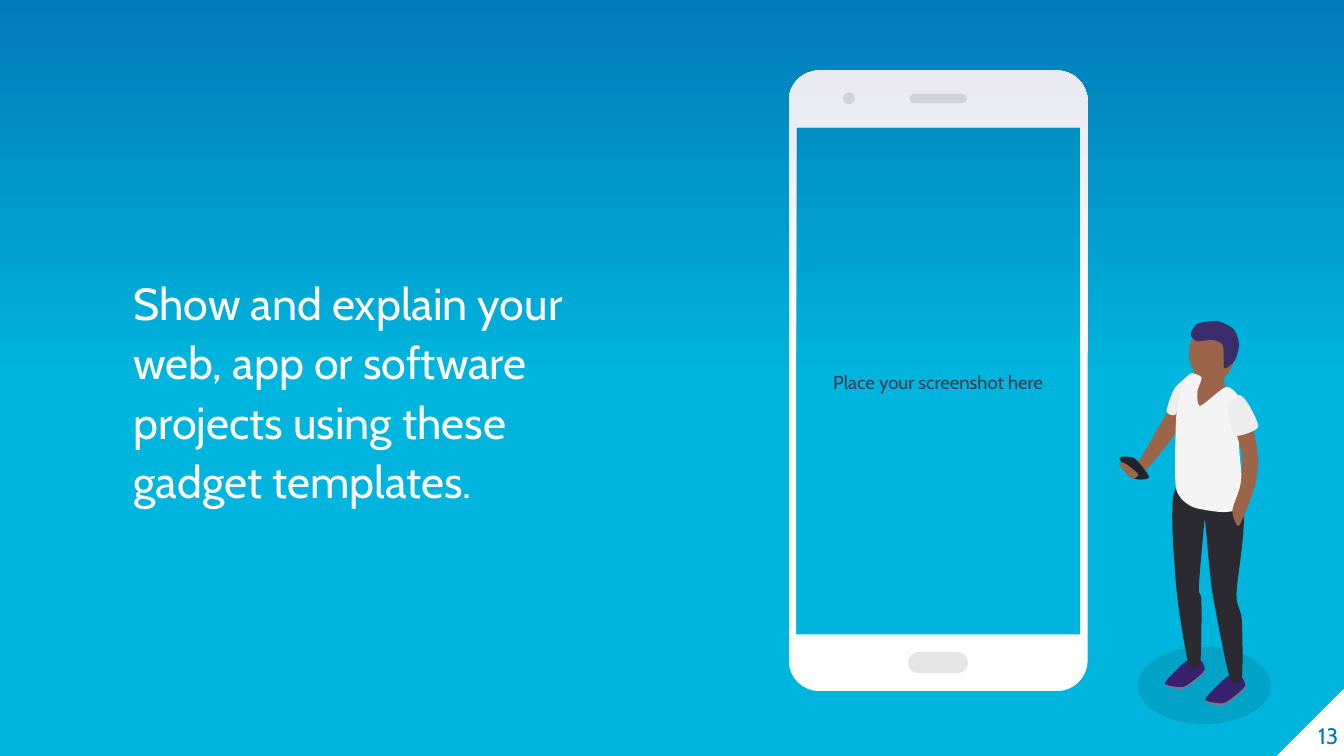
import math
from lxml import etree
from pptx import Presentation
from pptx.dml.color import RGBColor
from pptx.enum.shapes import MSO_SHAPE
from pptx.enum.text import MSO_ANCHOR, MSO_AUTO_SIZE, PP_ALIGN
from pptx.oxml.ns import qn
from pptx.util import Pt

OVAL, ROUNDED, TRIANGLE = MSO_SHAPE.OVAL, MSO_SHAPE.ROUNDED_RECTANGLE, MSO_SHAPE.RIGHT_TRIANGLE
MIDDLE, BOTTOM, TOP = MSO_ANCHOR.MIDDLE, MSO_ANCHOR.BOTTOM, MSO_ANCHOR.TOP
LEFT, CENTER, RIGHT = PP_ALIGN.LEFT, PP_ALIGN.CENTER, PP_ALIGN.RIGHT
NO_FIT = MSO_AUTO_SIZE.NONE

WHITE = RGBColor(0xFF, 0xFF, 0xFF)
BLACK = RGBColor(0x00, 0x00, 0x00)
CYAN = RGBColor(0x00, 0xB5, 0xDD)
BLUE = RGBColor(0x00, 0x7B, 0xB9)
LAVENDER = RGBColor(0xE9, 0xEA, 0xF2)
SLATE = RGBColor(0x3A, 0x3F, 0x50)
SHOE = RGBColor(0x38, 0x22, 0x6D)
SOLE = RGBColor(0x75, 0x7B, 0x89)
TROUSERS = RGBColor(0x2B, 0x2A, 0x30)
SKIN = RGBColor(0x9C, 0x64, 0x48)
HANDSET = RGBColor(0x20, 0x23, 0x2D)
SHIRT = RGBColor(0xF4, 0xF4, 0xF4)
SLEEVE = RGBColor(0xED, 0xED, 0xED)
HAIR = RGBColor(0x3A, 0x2C, 0x6D)

UNIT = 0.72     # points in one unit of the figure outlines
STEPS = 8       # straight pieces per curve
TENSION = 0.35  # roundness of the figure outlines


def paint(shape, color, opacity=100):
    shape.shadow.inherit = False
    shape.line.fill.background()
    shape.fill.solid()
    shape.fill.fore_color.rgb = color
    if opacity < 100:
        color_element = shape.fill._xPr.find(qn("a:solidFill"))[0]
        etree.SubElement(color_element, qn("a:alpha"), val=str(opacity * 1000))


def write(shape, text, size, color, alignment, anchor, margin=0):
    frame = shape.text_frame
    frame.word_wrap = True
    frame.auto_size = NO_FIT
    frame.vertical_anchor = anchor
    frame.margin_left = frame.margin_right = Pt(margin)
    frame.margin_top = frame.margin_bottom = Pt(margin)
    paragraph = frame.paragraphs[0]
    paragraph.alignment = alignment
    run = paragraph.add_run()
    run.text = text
    run.font.size, run.font.name = Pt(size), "Cabin"
    run.font.color.rgb = color
    return paragraph


presentation = Presentation()
presentation.slide_width, presentation.slide_height = Pt(720), Pt(405)
slide = presentation.slides.add_slide(presentation.slide_layouts[1])
shapes = slide.shapes
title = shapes.title._element
title.getparent().remove(title)

# Page corner
corner = shapes.add_shape(TRIANGLE, Pt(684), Pt(368.5), Pt(36.5), Pt(36.5))
corner._element.spPr.xfrm.set("flipH", "1")
paint(corner, WHITE)

# Message
body = slide.placeholders[1]
body.left, body.top, body.width, body.height = Pt(71.5), Pt(103), Pt(236), Pt(164)
message = write(body, "Show and explain your web, app or software projects using these gadget templates.",
                24, WHITE, LEFT, TOP)
body.text_frame.margin_top = Pt(42)
message.line_spacing, message.space_before = 1.1, Pt(0)
properties = message._p.get_or_add_pPr()
properties.set("marL", "0")
properties.set("indent", "0")
etree.SubElement(properties, qn("a:buNone"))

# Screen caption and page number
caption = shapes.add_textbox(Pt(427), Pt(69), Pt(151), Pt(271))
write(caption, "Place your screenshot here", 10, SLATE, CENTER, MIDDLE, 7.2)
number = shapes.add_textbox(Pt(681), Pt(365), Pt(36), Pt(36.5))
write(number, "13", 12, BLUE, RIGHT, BOTTOM)

# Phone case: rounded outline with the screen cut out
left, top, right, bottom, radius = 422.5, 37.8, 582.7, 370.3, 16.5
centers = [(right - radius, bottom - radius), (left + radius, bottom - radius),
           (left + radius, top + radius), (right - radius, top + radius)]
outline = []
for quarter, (x, y) in enumerate(centers):
    for step in range(STEPS + 1):
        angle = (quarter + step / STEPS) * math.pi / 2
        outline.append((Pt(x + radius * math.cos(angle)), Pt(y + radius * math.sin(angle))))
side, band = 4, 30.4
screen = [(Pt(x), Pt(y)) for x, y in [(left + side, top + band), (left + side, bottom - band),
                                      (right - side, bottom - band), (right - side, top + band)]]
builder = shapes.build_freeform(*outline[0])
builder.add_line_segments(outline[1:])
builder.move_to(*screen[0])
builder.add_line_segments(screen[1:])
case = builder.convert_to_shape()
paint(case, WHITE)

# Vertical gradients: plain lower half, fading to the top color
for fill, lower, upper in [(slide.background.fill, CYAN, BLUE), (case.fill, WHITE, LAVENDER)]:
    fill.gradient()
    fill.gradient_angle = 90
    for stop, position, color in zip(fill.gradient_stops, (0.5, 1), (lower, upper)):
        stop.position = position
        stop.color.rgb = color

# Home button, camera, speaker, shadow under the person, and the head
for kind, x, y, width, height, color, opacity in [
        (ROUNDED, 486.5, 349.3, 32, 11.4, BLACK, 10), (OVAL, 451.6, 49.5, 6.4, 6.4, BLACK, 10),
        (ROUNDED, 487.2, 50.3, 30.8, 4.9, BLACK, 10), (OVAL, 609.4, 346.5, 71.6, 41.4, BLACK, 10),
        (OVAL, 637, 174, 24.5, 30.5, SKIN, 100)]:
    detail = shapes.add_shape(kind, Pt(x), Pt(y), Pt(width), Pt(height))
    if kind == ROUNDED:
        detail.adjustments[0] = 0.5
    paint(detail, color, opacity)

# Person: shoes on their soles, then each part as points on a smooth outline
shoe = [(893, 491), (884, 491), (872, 502), (867, 509), (881, 511), (896, 499)]
person = []
for across, down in [(30, 12), (0, 0)]:
    for color, drop in [(SOLE, 1.5), (SHOE, 0)]:
        person.append((color, [(x + across, y + down + drop) for x, y in shoe]))
person += [
    (TROUSERS, [(924, 375), (920, 442), (924, 461), (924, 504), (915, 504), (902, 440), (897, 390),
                (896, 390), (892, 437), (894, 447), (893, 493), (884, 492), (875, 434), (875, 363)]),
    # Neck
    (SKIN, [(911, 265), (911, 286), (917, 292), (905, 304), (892, 302), (886, 290), (890, 275)]),
    # Raised arm, handset and fingers
    (SKIN, [(884, 284), (869, 306), (846, 345), (838, 341), (840, 347), (850, 352), (866, 334), (877, 317)]),
    (HANDSET, [(833, 341), (844, 341), (855, 355), (844, 356)]),
    (SKIN, [(835, 344), (833, 346), (842, 356), (847, 353), (839, 346)]),
    (SHIRT, [(912, 288), (893, 302), (891, 291), (894, 281), (886, 278), (878, 288), (875, 314), (875, 363),
             (887, 377), (912, 381), (925, 374), (922, 332), (926, 305), (921, 294)]),
    # Lowered arm
    (SKIN, [(917, 380), (923, 361), (924, 338), (917, 311), (920, 301), (929, 306), (936, 338), (934, 361),
            (922, 391)]),
    (HAIR, [(911, 274), (910, 257), (902, 253), (891, 254), (886, 249), (891, 241), (906, 239), (918, 245),
            (922, 256), (919, 268)]),
    (SLEEVE, [(936, 318), (919, 324), (914, 304), (922, 294), (929, 301)]),
    (SLEEVE, [(875, 308), (868, 306), (874, 289), (886, 278), (879, 287)]),
]
for color, knots in person:
    points = []
    for index, (x1, y1) in enumerate(knots):
        x0, y0 = knots[index - 1]
        x2, y2 = knots[(index + 1) % len(knots)]
        x3, y3 = knots[(index + 2) % len(knots)]
        for step in range(STEPS):
            t = step / STEPS
            end = t * t * (3 - 2 * t)
            leave, arrive = TENSION * t * (1 - t) ** 2, TENSION * t * t * (t - 1)
            x = x1 + (x2 - x1) * end + (x2 - x0) * leave + (x3 - x1) * arrive
            y = y1 + (y2 - y1) * end + (y2 - y0) * leave + (y3 - y1) * arrive
            points.append((Pt(x * UNIT), Pt(y * UNIT)))
    builder = shapes.build_freeform(*points[0])
    builder.add_line_segments(points[1:])
    paint(builder.convert_to_shape(), color)

presentation.save("out.pptx")
